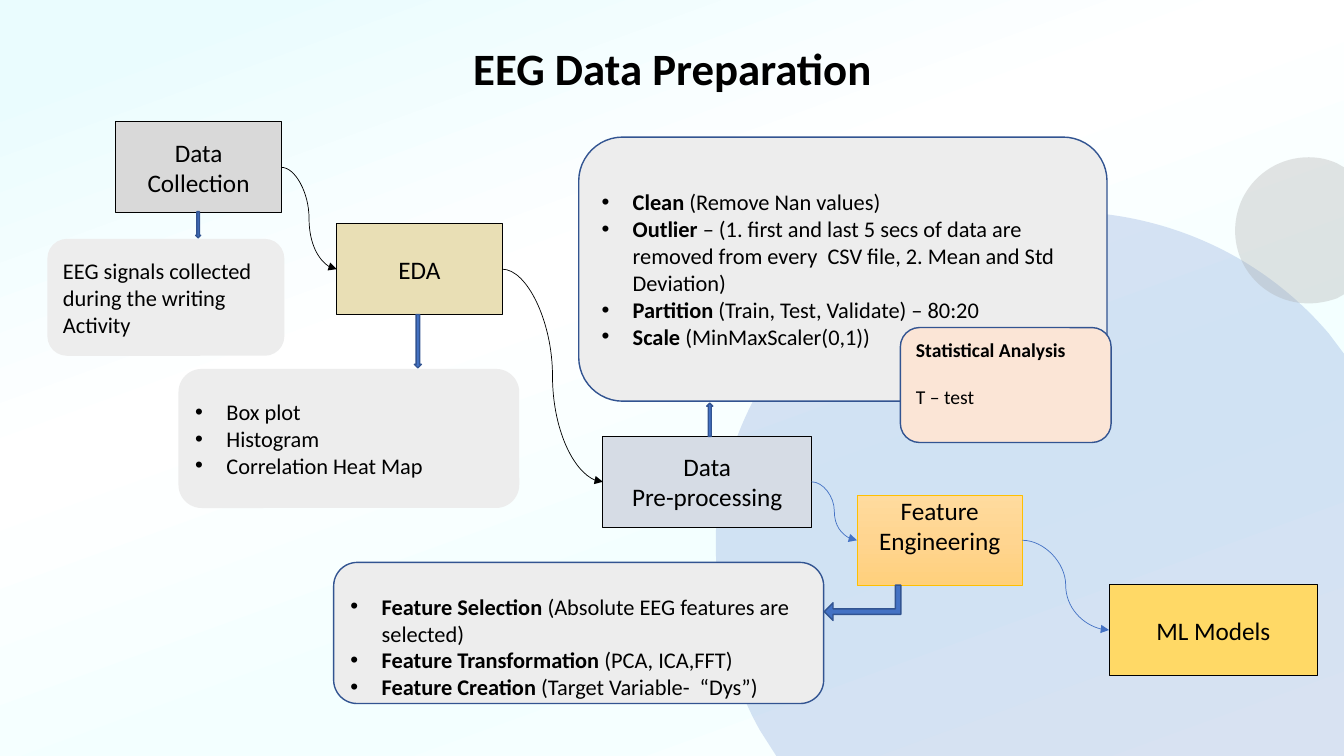
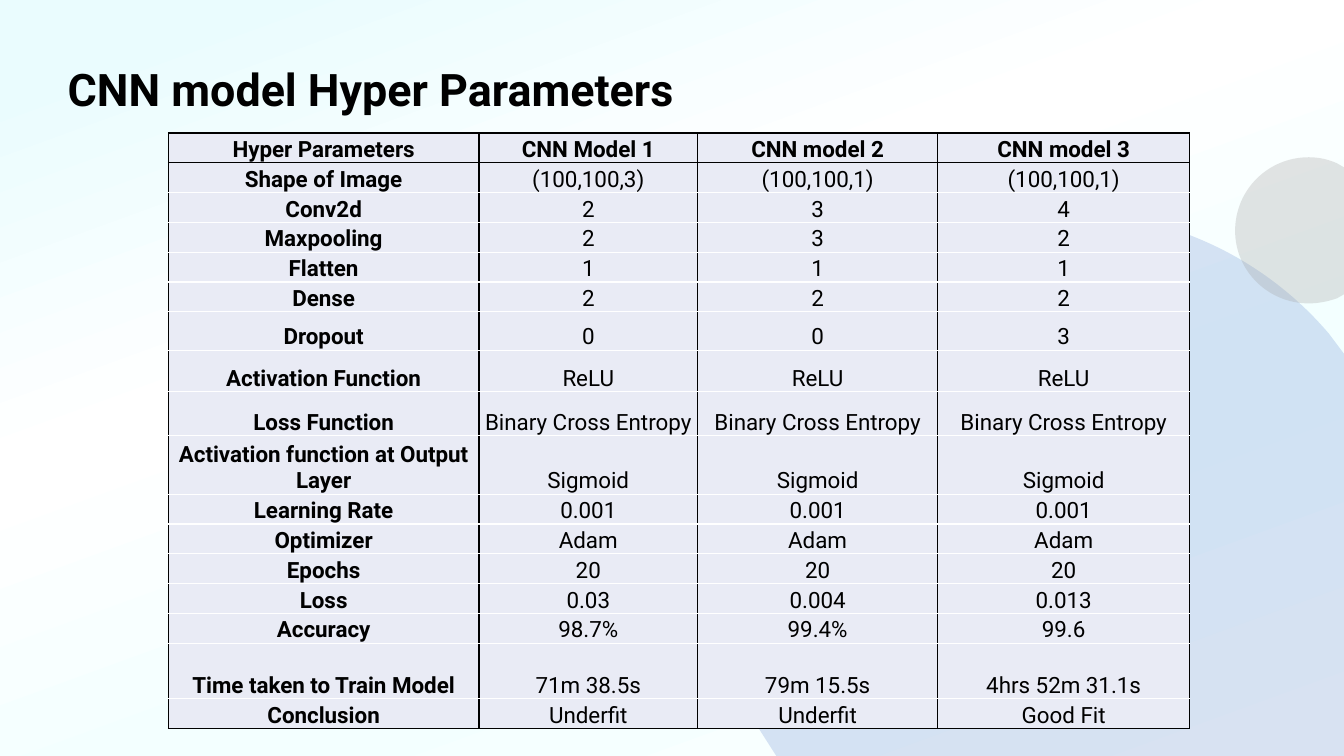
from dataclasses import dataclass

from lxml.etree import SubElement
from pptx import Presentation
from pptx.dml.color import RGBColor
from pptx.enum.shapes import MSO_CONNECTOR as Connector, MSO_SHAPE as Preset
from pptx.enum.text import MSO_ANCHOR as Anchor, PP_ALIGN as Align
from pptx.oxml.ns import qn
from pptx.util import Inches, Pt

PAGE_WIDTH, PAGE_HEIGHT = 13.33, 7.5
BLACK, WHITE = "000000", "FFFFFF"
BLUE, NAVY, PALE, CELL = "4472C4", "325491", "EDEDED", "E9EBF5"
BACKDROP = [(7, "EAFCFE"), (38, "FFFFFF"), (66, "F3FFFF"), (100, "FDFFFE")]
AMBER = [(0, "FFDB9E"), (50, "FFD590"), (100, "FFD07C")]


@dataclass(frozen=True)
class Disc:
    start: tuple
    segments: tuple
    color: str
    opacity: int


@dataclass(frozen=True)
class Line:
    text: str = ""
    lead: str = ""
    before: float = 0


@dataclass(frozen=True)
class Step:
    name: str
    at: tuple
    fill: str
    lines: tuple
    border: str = BLACK
    weight: float = 0.75
    bottom: float = 0.05


@dataclass(frozen=True)
class Note:
    at: tuple
    lines: tuple
    fill: str = PALE
    border: str = ""
    bullets: bool = True
    size: int = 16
    top: float = 0.05
    bottom: float = 0.05


@dataclass(frozen=True)
class Link:
    start: str
    end: str
    color: str


@dataclass(frozen=True)
class Arrow:
    preset: Preset
    at: tuple


DISCS = [
    Disc((10.47, 2.1), (
        ((10.59, 2.1), (10.71, 2.1), (10.82, 2.11)),
        ((11.78, 2.19), (12.61, 2.64), (13.18, 3.31)),
        ((PAGE_WIDTH, 3.51),),
        ((PAGE_WIDTH, PAGE_HEIGHT),),
        ((7.7, PAGE_HEIGHT),),
        ((7.54, 7.25),),
        ((7.21, 6.67), (7.09, 5.99), (7.1, 5.28)),
        ((7.24, 3.5), (8.72, 2.14), (10.47, 2.1)),
    ), BLUE, 20),
    Disc((12.98, 1.56), (
        ((13.08, 1.56), (13.17, 1.58), (13.26, 1.62)),
        ((PAGE_WIDTH, 1.66),),
        ((PAGE_WIDTH, 2.92),),
        ((13.26, 2.96),),
        ((13.17, 2.99), (13.08, 3.01), (12.98, 3.01)),
        ((12.58, 3.01), (12.25, 2.69), (12.25, 2.29)),
        ((12.25, 1.88), (12.58, 1.56), (12.98, 1.56)),
    ), "A5A5A5", 30),
]

STEPS = [
    Step("collection", (1.15, 1.21, 1.64, 0.9), "D9D9D9", (Line("Data Collection"),)),
    Step("eda", (3.34, 2.22, 1.64, 0.9), "E9DFB5", (Line("EDA"),)),
    Step("cleaning", (5.98, 4.33, 2.07, 0.9), "D6DCE5",
         (Line("Data"), Line("Pre-processing"))),
    Step("features", (8.5, 4.91, 1.64, 0.9), "", (Line("Feature Engineering"),),
         "FFC000", 0.5, 0.35),
    Step("models", (11, 5.8, 2.07, 0.9), "FFD966", (Line("ML Models"),)),
]

LINKS = [
    Link("collection", "eda", BLACK),
    Link("eda", "cleaning", BLACK),
    Link("cleaning", "features", BLUE),
    Link("features", "models", BLUE),
]

NOTES = [
    Note((0.47, 2.37, 2.35, 1.16),
         (Line("EEG signals collected during the writing Activity"),), bullets=False),
    Note((1.77, 3.66, 3.38, 1.38),
         (Line("Box plot"), Line("Histogram"), Line("Correlation Heat Map"))),
    Note((5.74, 1.36, 5.24, 2.62), (
        Line(" (Remove Nan values)", "Clean"),
        Line(" – (1. first and last 5 secs of data are removed from every  CSV file, "
             "2. Mean and Std Deviation)", "Outlier"),
        Line(" (Train, Test, Validate) – 80:20", "Partition"),
        Line(" (MinMaxScaler(0,1))", "Scale"),
    ), border=NAVY),
    Note((8.93, 3.25, 2.09, 1.14),
         (Line(lead="Statistical Analysis"), Line("T – test", before=17)),
         "FBE5D6", NAVY, False, 14, bottom=0.29),
    Note((3.31, 5.58, 4.86, 1.4), (
        Line("(Absolute EEG features are selected)", "Feature Selection "),
        Line(" (PCA, ICA,FFT)", "Feature Transformation"),
        Line("(Target Variable-  “Dys”)", "Feature Creation "),
    ), border=NAVY, top=0.27, bottom=0),
]

ARROWS = [
    Arrow(Preset.DOWN_ARROW, (1.94, 2.1, 0.05, 0.26)),
    Arrow(Preset.DOWN_ARROW, (4.11, 3.12, 0.07, 0.53)),
    Arrow(Preset.UP_ARROW, (7.01, 4, 0.06, 0.33)),
]
ELBOW_ARROW = Arrow(Preset.BENT_UP_ARROW, (8.38, 5.6, 0.35, 0.76))

COLUMNS = [3.08, 2.17, 2.38, 2.5]
TABLE_HEIGHT = 5.91
TALL_ROWS = {6: 0.38, 7: 0.41, 8: 0.44, 9: 0.58, 15: 0.55}
PARAMETERS = [
    ("Hyper Parameters", "CNN Model 1", "CNN model 2", "CNN model 3"),
    ("Shape of Image", "(100,100,3)", "(100,100,1)", "(100,100,1)"),
    ("Conv2d", "2", "3", "4"),
    ("Maxpooling", "2", "3", "2"),
    ("Flatten", "1", "1", "1"),
    ("Dense", "2", "2", "2"),
    ("Dropout", "0", "0", "3"),
    ("Activation Function", *["ReLU"] * 3),
    ("Loss Function", *["Binary Cross Entropy"] * 3),
    ("Activation function at Output Layer", *["Sigmoid"] * 3),
    ("Learning Rate", *["0.001"] * 3),
    ("Optimizer", *["Adam"] * 3),
    ("Epochs", *["20"] * 3),
    ("Loss", "0.03", "0.004", "0.013"),
    ("Accuracy", "98.7%", "99.4%", "99.6"),
    ("Time taken to Train Model", "71m 38.5s", "79m 15.5s", "4hrs 52m 31.1s"),
    ("Conclusion", "Underfit", "Underfit", "Good Fit"),
]


def rgb(color: str) -> RGBColor:
    return RGBColor.from_string(color)


def inches(at: tuple) -> list:
    return [Inches(length) for length in at]


def set_font(font, name: str, size: int, bold: bool | None = None) -> None:
    font.name, font.size, font.bold = name, Pt(size), bold
    font.color.rgb = rgb(BLACK)


def set_gradient(fill, element, stops: list, angle: int) -> None:
    fill.gradient()
    gradient = next(element.iter(qn("a:gradFill")))
    stop_list = gradient.find(qn("a:gsLst"))
    for stop in list(stop_list):
        stop_list.remove(stop)
    for position, color in stops:
        stop = SubElement(stop_list, qn("a:gs"), pos=str(position * 1000))
        SubElement(stop, qn("a:srgbClr"), val=color)
    gradient.find(qn("a:lin")).set("ang", str(angle * 60000))


def paint(shape, fill: str, border: str = "", weight: float = 1) -> None:
    shape.shadow.inherit = False
    if fill:
        shape.fill.solid()
        shape.fill.fore_color.rgb = rgb(fill)
    if border:
        shape.line.color.rgb = rgb(border)
        shape.line.width = Pt(weight)
    else:
        shape.line.fill.background()


def bend_segments(shape, segments: tuple) -> None:
    outline = next(shape.element.iter(qn("a:path")))
    lines = iter(outline.findall(qn("a:lnTo")))
    for segment in segments:
        controls = [next(lines) for _ in segment]
        if len(controls) == 3:
            curve = SubElement(outline, qn("a:cubicBezTo"))
            controls[0].addprevious(curve)
            for control in controls:
                curve.append(control[0])
                outline.remove(control)


def add_disc(page, disc: Disc) -> None:
    outline = page.shapes.build_freeform(*inches(disc.start))
    outline.add_line_segments(
        [inches(point) for segment in disc.segments for point in segment])
    shape = outline.convert_to_shape()
    bend_segments(shape, disc.segments)
    paint(shape, disc.color)
    color = next(shape.element.spPr.iter(qn("a:srgbClr")))
    SubElement(color, qn("a:alpha"), val=str(disc.opacity * 1000))
    page.slide_layout.shapes._spTree.append(shape.element)


def add_page(deck, title: str, at: tuple, font: str, align: Align):
    page = deck.slides.add_slide(deck.slide_layouts[5])
    box = page.shapes.title
    box.left, box.top, box.width, box.height = inches(at)
    box.text_frame.text = title
    box.text_frame.vertical_anchor = Anchor.TOP
    para = box.text_frame.paragraphs[0]
    para.alignment, para.line_spacing = align, 0.9
    set_font(para.font, font, 32, True)
    return page


def add_bullet(para) -> None:
    properties = para._p.get_or_add_pPr()
    properties.set("marL", str(Inches(0.31)))
    properties.set("indent", str(-Inches(0.31)))
    SubElement(properties, qn("a:buFont"), typeface="Arial")
    SubElement(properties, qn("a:buChar"), char="•")


def write_lines(shape, lines: tuple, size: int, align: Align, bullets: bool,
                top: float, bottom: float) -> None:
    frame = shape.text_frame
    frame.word_wrap, frame.vertical_anchor = True, Anchor.MIDDLE
    frame.margin_top, frame.margin_bottom = Inches(top), Inches(bottom)
    for index, line in enumerate(lines):
        para = frame.add_paragraph() if index else frame.paragraphs[0]
        para.alignment = align
        if line.before:
            para.space_before = Pt(line.before)
        if bullets:
            add_bullet(para)
        set_font(para.font, "Calibri", size)
        for text, bold in ((line.lead, True), (line.text, False)):
            if text:
                span = para.add_run()
                span.text, span.font.bold = text, bold


def add_step(page, step: Step):
    shape = page.shapes.add_shape(Preset.RECTANGLE, *inches(step.at))
    paint(shape, step.fill, step.border, step.weight)
    if not step.fill:
        set_gradient(shape.fill, shape.element, AMBER, 90)
    write_lines(shape, step.lines, 18, Align.CENTER, False, 0.05, step.bottom)
    return shape


def add_note(page, note: Note) -> None:
    shape = page.shapes.add_shape(Preset.ROUNDED_RECTANGLE, *inches(note.at))
    paint(shape, note.fill, note.border)
    write_lines(shape, note.lines, note.size, Align.LEFT, note.bullets, note.top, note.bottom)


def add_arrow(page, arrow: Arrow):
    shape = page.shapes.add_shape(arrow.preset, *inches(arrow.at))
    paint(shape, BLUE, NAVY)
    return shape


def add_link(page, link: Link, boxes: dict) -> None:
    connector = page.shapes.add_connector(Connector.CURVE, 0, 0, 0, 0)
    connector.begin_connect(boxes[link.start], 3)
    connector.end_connect(boxes[link.end], 1)
    connector.line.color.rgb = rgb(link.color)
    connector.line.width = Pt(0.5)
    SubElement(connector.line._get_or_add_ln(), qn("a:tailEnd"), type="triangle")
    SubElement(connector.element.spPr, qn("a:effectLst"))


def add_preparation(deck) -> None:
    page = add_page(deck, "EEG Data Preparation", (0.59, 0.41, 12.16, 0.7),
                    "Calibri", Align.CENTER)
    for disc in DISCS:
        add_disc(page, disc)
    boxes = {step.name: add_step(page, step) for step in STEPS}
    for link in LINKS:
        add_link(page, link, boxes)
    for note in NOTES:
        add_note(page, note)
    for arrow in ARROWS:
        add_arrow(page, arrow)
    elbow = add_arrow(page, ELBOW_ARROW)
    elbow.adjustments[0] = 0.155
    elbow.rotation = 270
    elbow.element.spPr.find(qn("a:xfrm")).set("flipH", "1")


def format_cell(cell, text: str, bold: bool, top: str, bottom: str) -> None:
    cell.margin_left = cell.margin_right = cell.margin_top = Inches(0.01)
    cell.margin_bottom = 0
    cell.vertical_anchor = Anchor.BOTTOM
    properties = cell._tc.get_or_add_tcPr()
    for side, color in zip("LRTB", (BLACK, BLACK, top, bottom)):
        border = SubElement(properties, qn(f"a:ln{side}"), w=str(Pt(1)))
        SubElement(SubElement(border, qn("a:solidFill")), qn("a:srgbClr"), val=color)
    cell.fill.solid()
    cell.fill.fore_color.rgb = rgb(CELL)
    cell.text = text
    para = cell.text_frame.paragraphs[0]
    para.alignment = Align.CENTER
    set_font(para.font, "Roboto", 16, bold)


def add_parameters(deck) -> None:
    page = add_page(deck, "CNN model Hyper Parameters", (0.57, 0.62, 12.16, 0.7),
                    "Roboto", Align.LEFT)
    count = len(PARAMETERS)
    row_height = (TABLE_HEIGHT - sum(TALL_ROWS.values())) / (count - len(TALL_ROWS))
    table = page.shapes.add_table(count, len(COLUMNS), *inches(
        (1.67, 1.32, sum(COLUMNS), TABLE_HEIGHT))).table
    for column, width in zip(table.columns, COLUMNS):
        column.width = Inches(width)
    for row, values in enumerate(PARAMETERS):
        table.rows[row].height = Inches(TALL_ROWS.get(row, row_height))
        top = BLACK if row <= 1 else WHITE
        bottom = BLACK if row in (0, count - 1) else WHITE
        for column, text in enumerate(values):
            format_cell(table.cell(row, column), text, row == 0 or column == 0, top, bottom)


def main() -> None:
    deck = Presentation()
    deck.slide_width, deck.slide_height = Inches(PAGE_WIDTH), Inches(PAGE_HEIGHT)
    master = deck.slide_master
    set_gradient(master.background.fill, master.element, BACKDROP, 70)
    add_preparation(deck)
    add_parameters(deck)
    deck.save("out.pptx")


if __name__ == "__main__":
    main()
